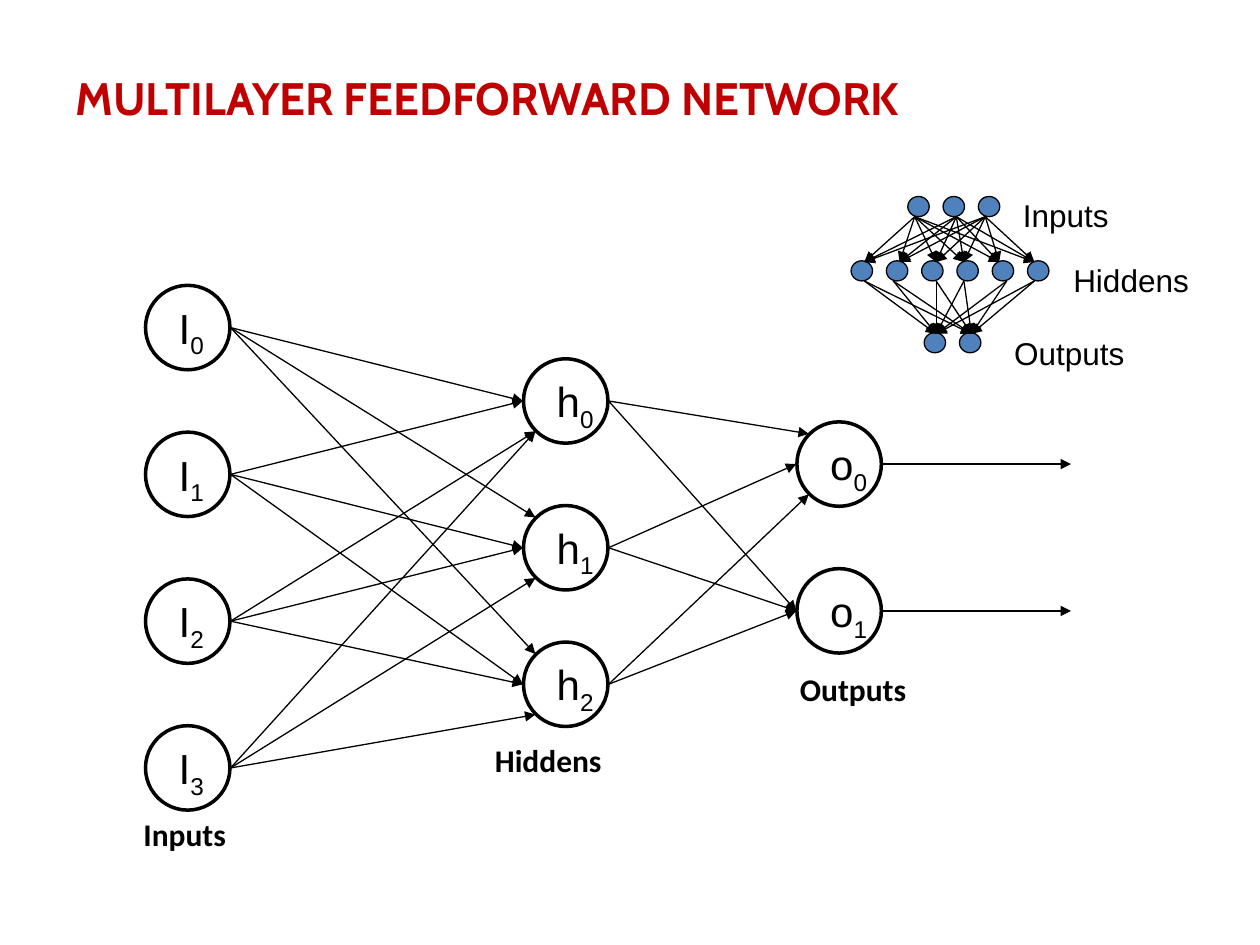
"""Build a slide with a large and a small multilayer feedforward network."""
from math import sqrt

from lxml.etree import SubElement
from pptx import Presentation
from pptx.dml.color import RGBColor
from pptx.enum.shapes import MSO_CONNECTOR, MSO_SHAPE
from pptx.enum.text import MSO_ANCHOR, PP_ALIGN
from pptx.oxml.ns import qn
from pptx.util import Inches, Pt

BLACK = RGBColor(0x00, 0x00, 0x00)
RED = RGBColor(0xC0, 0x00, 0x00)
BLUE = RGBColor(0x4F, 0x81, 0xBD)

TITLE = "MULTILAYER FEEDFORWARD NETWORK"
COLUMNS, ROWS = 10, 7.5
CELL = Inches(10) / COLUMNS

ORIGIN_X, ORIGIN_Y, PITCH = 1.49, 2.6, 1.165
NODE_SIZE, NODE_REACH, OUTPUT_ARROW = 0.67, 0.34, 1.5
LAYERS = [
    {"letter": "I", "x": 0, "rows": [0, 1, 2, 3], "width": 0.42},
    {"letter": "h", "x": 3, "rows": [0.5, 1.5, 2.43], "width": 0.51},
    {"letter": "o", "x": 5.17, "rows": [0.93, 1.93], "width": 0.51},
]
ENTRY_SIDES = [
    [("W", "NW", "NW"), ("W", "W", "W"), ("SW", "W", "W"), ("SW", "SW", "SW")],
    [("NW", "W"), ("W", "W"), ("SW", "W")],
]
SIDES = {
    "W": (-1, 0),
    "NW": (-sqrt(0.5), -sqrt(0.5)),
    "SW": (-sqrt(0.5), sqrt(0.5)),
}
CAPTIONS = [("Inputs", 1.04, 6.42), ("Hiddens", 3.83, 5.83), ("Outputs", 6.25, 5.27)]

DOT_PITCH, DOT_WIDTH, DOT_HEIGHT = 0.28, 0.17, 0.16
DOT_LAYERS = [(3, 7.29, 1.64), (6, 6.84, 2.15), (2, 7.42, 2.72)]
DOT_LINKS = [
    ((7.26, 7.59, 7.82), 1.72, (6.86, 7.14, 7.43, 7.65, 7.93, 8.21), 2.08),
    ((6.86, 7.09, 7.43, 7.65, 7.99, 8.21), 2.23, (7.43, 7.71), 2.65),
]
DOT_LABELS = [("Inputs", 8.02, 1.51, 0.89), ("Hiddens", 8.42, 2.02, 1.13), ("Outputs", 7.95, 2.6, 1.09)]


def grid(*cells):
    return [round(cell * CELL) for cell in cells]


def write(box, text, subscript="", size=18, font="Arial", color=BLACK, bold=False, wrap=False,
          anchor=MSO_ANCHOR.TOP):
    frame = box.text_frame
    frame.word_wrap = wrap
    frame.vertical_anchor = anchor
    para = frame.paragraphs[0]
    para.alignment = PP_ALIGN.LEFT
    for content in filter(None, (text, subscript)):
        span = para.add_run()
        span.text = content
        span.font.size = Pt(size)
        span.font.name = font
        span.font.bold = bold
        span.font.color.rgb = color
    if subscript:
        span._r.get_or_add_rPr().set("baseline", "-25000")


def add_circle(shapes, x, y, width, height, line_width, fill=None):
    circle = shapes.add_shape(
        MSO_SHAPE.OVAL, *grid(x - width / 2, y - height / 2, width, height))
    circle.shadow.inherit = False
    if fill is None:
        circle.fill.background()
    else:
        circle.fill.solid()
        circle.fill.fore_color.rgb = fill
    circle.line.color.rgb = BLACK
    circle.line.width = Pt(line_width)


def add_arrow(shapes, start, end):
    arrow = shapes.add_connector(MSO_CONNECTOR.STRAIGHT, *grid(*start, *end))
    arrow.line.color.rgb = BLACK
    arrow.line.width = Pt(0.75)
    properties = arrow._element.spPr
    SubElement(properties.find(qn("a:ln")), qn("a:tailEnd"), type="triangle")
    SubElement(properties, qn("a:effectLst"))


def add_small_network(shapes):
    for count, left, y in DOT_LAYERS:
        for index in range(count):
            add_circle(shapes, left + index * DOT_PITCH, y, DOT_WIDTH, DOT_HEIGHT, 0.75, BLUE)
    for starts, top, ends, bottom in DOT_LINKS:
        for start in starts:
            for end in ends:
                add_arrow(shapes, (start, top), (end, bottom))
    for text, left, top, width in DOT_LABELS:
        write(shapes.add_textbox(*grid(left, top, width, 0.4)), text)


def add_large_network(shapes):
    centers = [[(ORIGIN_X + layer["x"], ORIGIN_Y + row * PITCH) for row in layer["rows"]]
               for layer in LAYERS]
    for layer, nodes in zip(LAYERS, centers):
        for index, (x, y) in enumerate(nodes):
            box = shapes.add_textbox(*grid(x - 0.17, y - 0.25, layer["width"], 0.5))
            write(box, layer["letter"], subscript=str(index), size=24)
            add_circle(shapes, x, y, NODE_SIZE, NODE_SIZE, 2)
    for sources, targets, table in zip(centers, centers[1:], ENTRY_SIDES):
        for (x, y), sides in zip(sources, table):
            for (target_x, target_y), side in zip(targets, sides):
                across, down = SIDES[side]
                add_arrow(shapes, (x + NODE_REACH, y),
                          (target_x + across * NODE_REACH, target_y + down * NODE_REACH))
    for x, y in centers[-1]:
        add_arrow(shapes, (x + NODE_REACH, y), (x + NODE_REACH + OUTPUT_ARROW, y))


def main():
    deck = Presentation()
    deck.slide_width, deck.slide_height = grid(COLUMNS, ROWS)
    page = deck.slides.add_slide(deck.slide_layouts[5])
    title = page.shapes.title
    title.left, title.top, title.width, title.height = grid(0.5, 0.5, 8.26, 0.54)
    write(title, TITLE, size=26, font="Cabin", color=RED, bold=True, wrap=True,
          anchor=MSO_ANCHOR.MIDDLE)
    add_small_network(page.shapes.add_group_shape().shapes)
    add_large_network(page.shapes.add_group_shape().shapes)
    for text, left, top in CAPTIONS:
        box = page.shapes.add_textbox(*grid(left, top, 1.67, 0.4))
        write(box, text, font="Calibri", bold=True, wrap=True)
    deck.save("out.pptx")


if __name__ == "__main__":
    main()
